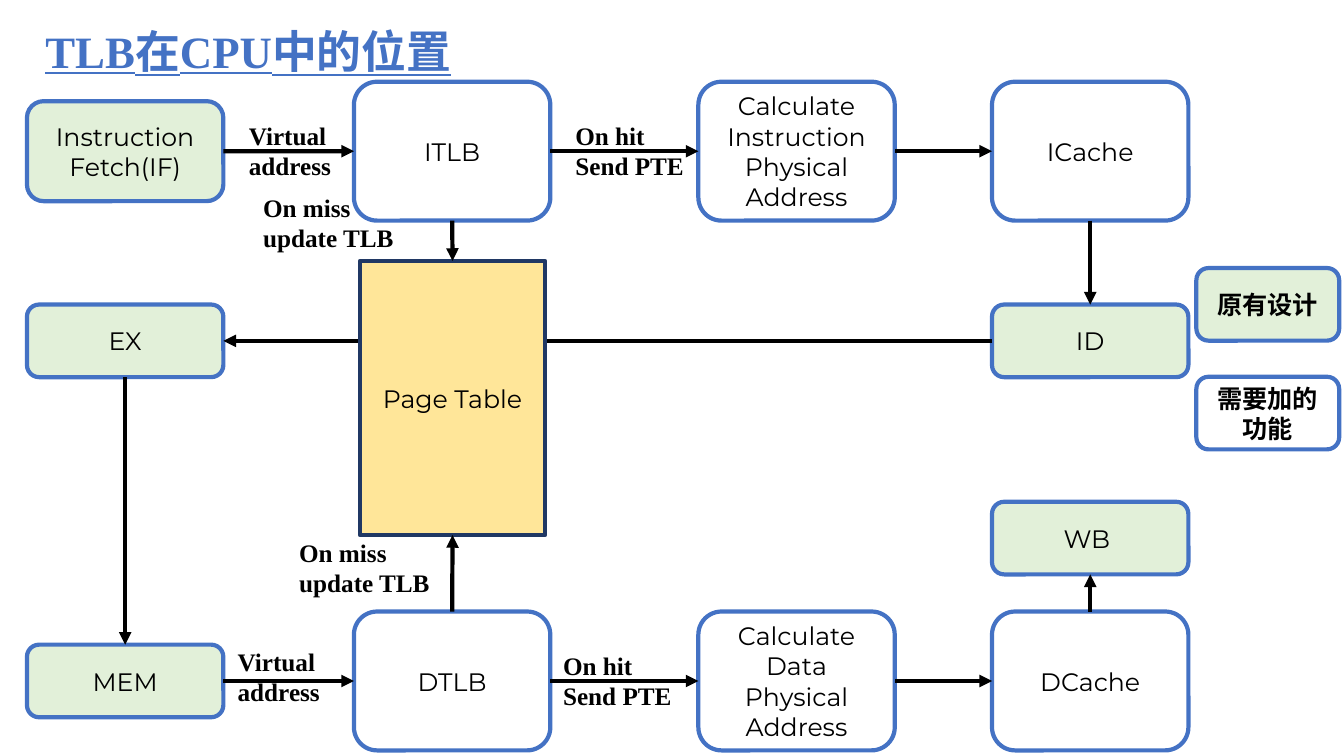
"""Build the slide that places the TLB among the CPU pipeline stages."""
from pptx import Presentation
from pptx.dml.color import RGBColor
from pptx.enum.shapes import MSO_CONNECTOR, MSO_SHAPE
from pptx.enum.text import MSO_ANCHOR, MSO_AUTO_SIZE, PP_ALIGN
from pptx.oxml.ns import qn
from pptx.util import Cm, Pt
from lxml import etree

ROUND, RECT = MSO_SHAPE.ROUNDED_RECTANGLE, MSO_SHAPE.RECTANGLE
STRAIGHT = MSO_CONNECTOR.STRAIGHT
LEFT, CENTER = PP_ALIGN.LEFT, PP_ALIGN.CENTER
TOP_ANCHOR, MIDDLE = MSO_ANCHOR.TOP, MSO_ANCHOR.MIDDLE
NO_FIT, GROW = MSO_AUTO_SIZE.NONE, MSO_AUTO_SIZE.SHAPE_TO_FIT_TEXT
TOP, WEST, BOTTOM, EAST = range(4)

COLORS = {"blue": "4472C4", "navy": "203864", "green": "E2F0D9",
          "yellow": "FFE699", "black": "000000"}
SANS, SERIF, CJK = "Montserrat", "Times New Roman", "Noto Sans CJK SC"

STAGE_X, TLB_X, CALC_X, CACHE_X, KEY_X = 0.68, 8.92, 17.6, 25, 30.15
FETCH_Y, EXEC_Y, WRITE_Y, MEM_Y = 3.81, 8.59, 13.56, 17.16
BOX_W, KEY_W, TALL, FETCH_H, LOW = 4.95, 3.6, 3.5, 2.52, 1.83


def color(name):
    """Return the named colour."""
    return RGBColor.from_string(COLORS[name])


def write(tf, lines, font, size=18, bold=False, ink="black", align=LEFT):
    """Write one paragraph per line and return the runs."""
    runs = []
    for i, line in enumerate(lines):
        p = tf.paragraphs[0] if i == 0 else tf.add_paragraph()
        p.alignment = align
        r = p.add_run()
        r.text = line
        r.font.name, r.font.size, r.font.bold = font, Pt(size), bold
        r.font.color.rgb = color(ink)
        ea = etree.SubElement(r._r.get_or_add_rPr(), qn("a:ea"))
        ea.set("typeface", CJK)
        runs.append(r)
    return runs


def add_title(s, text):
    """Fill and place the title placeholder."""
    sp = s.shapes.title
    sp.left, sp.top, sp.width, sp.height = Cm(0.89), Cm(0.46), Cm(16.94), Cm(1.63)
    tf = sp.text_frame
    tf.vertical_anchor, tf.auto_size = TOP_ANCHOR, NO_FIT
    for r in write(tf, [text], SERIF, 32, True, "blue"):
        r.font.underline = True


def add_box(s, lines, x, mid_y, h, fill=None, w=BOX_W, shape=ROUND,
            line="blue", font=SANS, bold=False):
    """Add an outlined box centred vertically on mid_y."""
    sp = s.shapes.add_shape(shape, Cm(x), Cm(mid_y - h / 2), Cm(w), Cm(h))
    sp.shadow.inherit = False
    if fill:
        sp.fill.solid()
        sp.fill.fore_color.rgb = color(fill)
    else:
        sp.fill.background()
    sp.line.color.rgb, sp.line.width = color(line), Pt(3)
    tf = sp.text_frame
    tf.word_wrap, tf.vertical_anchor = True, MIDDLE
    write(tf, lines, font, bold=bold, align=CENTER)
    return sp


def add_label(s, lines, x, y, w):
    """Add a bold caption beside an arrow."""
    tf = s.shapes.add_textbox(Cm(x), Cm(y), Cm(w), Cm(1.8)).text_frame
    tf.word_wrap, tf.auto_size = True, GROW
    write(tf, lines, SERIF, bold=True)


def add_arrow(s, start, start_site, end, end_site):
    """Join two boxes with an arrow."""
    c = s.shapes.add_connector(STRAIGHT, 0, 0, 0, 0)
    c.begin_connect(start, start_site)
    c.end_connect(end, end_site)
    c.line.color.rgb, c.line.width = color("black"), Pt(3)
    etree.SubElement(c.line._get_or_add_ln(), qn("a:tailEnd")).set("type", "triangle")
    etree.SubElement(c._element.spPr, qn("a:effectLst"))


def add_lane(s, stage, y, kind, tlb_name, cache_name, labels):
    """Add the lookup lane of one stage and return its TLB and cache."""
    tlb = add_box(s, [tlb_name], TLB_X, y, TALL)
    calc = add_box(s, [f"Calculate {kind}", "Physical Address"], CALC_X, y, TALL)
    cache = add_box(s, [cache_name], CACHE_X, y, TALL)
    for start, end in ((stage, tlb), (tlb, calc), (calc, cache)):
        add_arrow(s, start, EAST, end, WEST)
    captions = ((["Virtual address"], 2.9), (["On hit", "Send PTE"], 3.4),
                (["On miss update TLB"], 4.72))
    for (lines, w), (x, label_y) in zip(captions, labels):
        add_label(s, lines, x, label_y, w)
    return tlb, cache


def main():
    """Build and save the slide."""
    prs = Presentation()
    prs.slide_width, prs.slide_height = Cm(33.87), Cm(19.05)
    s = prs.slides.add_slide(prs.slide_layouts[5])
    add_title(s, "TLB在CPU中的位置")

    fetch = add_box(s, ["Instruction Fetch(IF)"], STAGE_X, FETCH_Y, FETCH_H, "green")
    decode = add_box(s, ["ID"], CACHE_X, EXEC_Y, LOW, "green")
    execute = add_box(s, ["EX"], STAGE_X, EXEC_Y, LOW, "green")
    mem = add_box(s, ["MEM"], STAGE_X, MEM_Y, LOW, "green")
    write_back = add_box(s, ["WB "], CACHE_X, WRITE_Y, LOW, "green")
    add_arrow(s, decode, WEST, execute, EAST)
    table = add_box(s, ["Page Table"], 9.07, 10.03, 6.91, "yellow", w=4.67,
                    shape=RECT, line="navy")

    itlb, icache = add_lane(s, fetch, FETCH_Y, "Instruction", "ITLB", "ICache",
                            ((6.02, 2.9), (14.25, 2.9), (6.38, 4.72)))
    dtlb, dcache = add_lane(s, mem, MEM_Y, "Data", "DTLB", "DCache",
                            ((5.74, 16.15), (13.94, 16.26), (7.29, 13.41)))
    add_arrow(s, itlb, BOTTOM, table, TOP)
    add_arrow(s, dtlb, TOP, table, BOTTOM)
    add_arrow(s, icache, BOTTOM, decode, TOP)
    add_arrow(s, execute, BOTTOM, mem, TOP)
    add_arrow(s, dcache, TOP, write_back, BOTTOM)

    for text, y, fill in (("原有设计", 7.67, "green"), ("需要加的功能", 10.41, None)):
        add_box(s, [text], KEY_X, y, LOW, fill, w=KEY_W, font=CJK, bold=True)
    prs.save("out.pptx")


if __name__ == "__main__":
    main()
